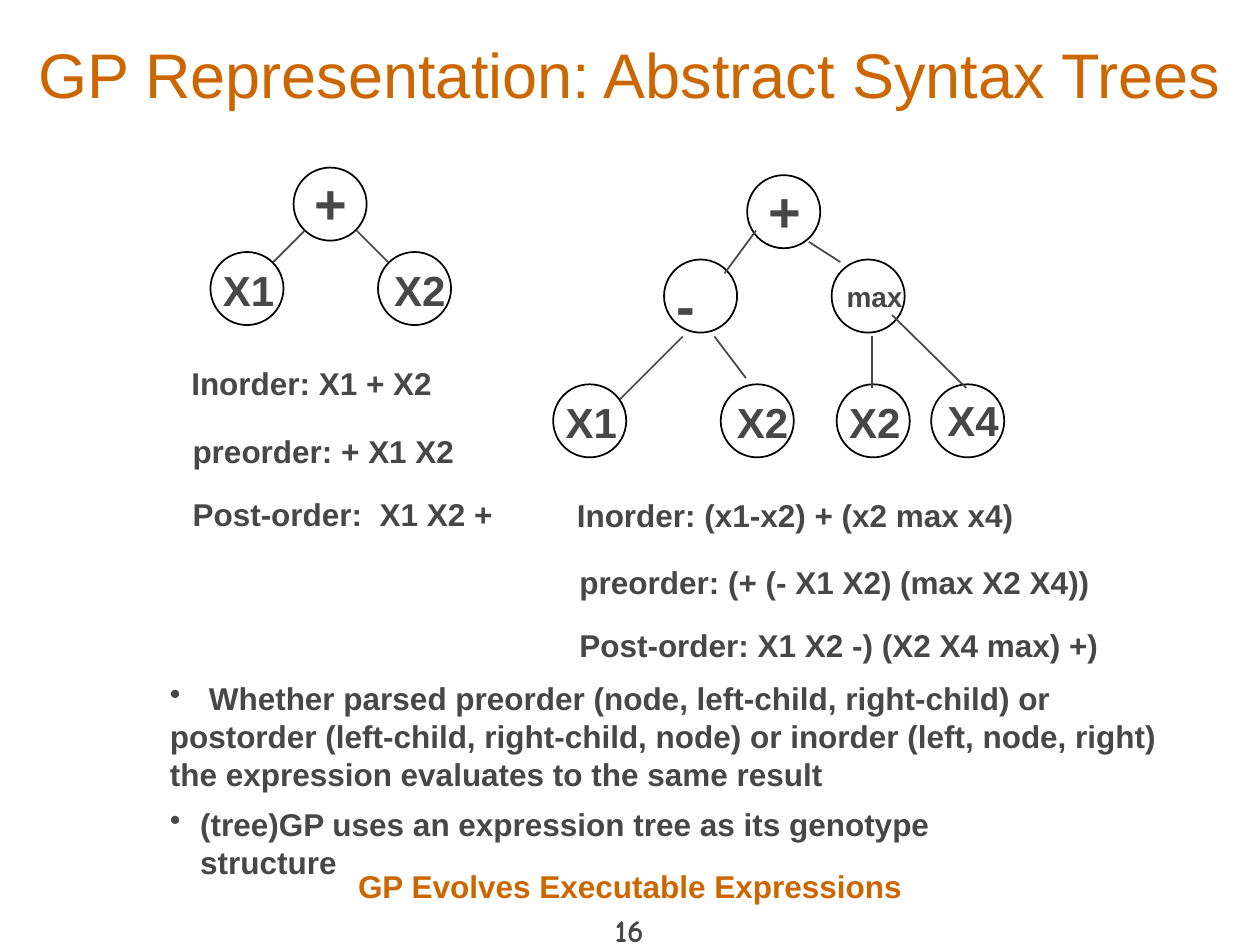
from lxml.etree import SubElement
from pptx import Presentation
from pptx.dml.color import RGBColor
from pptx.enum.shapes import MSO_CONNECTOR, MSO_SHAPE
from pptx.enum.text import MSO_ANCHOR, PP_ALIGN
from pptx.oxml.ns import qn
from pptx.util import Inches, Pt

GREY = "474747"
ORANGE = "CC6600"
DIAMETER = 0.58
BULLET_INDENT = 0.24


def color(value):
    return RGBColor.from_string(value)


def write(shape, lines, size=18, text_color=GREY, bold=True, name="Arial",
          align=PP_ALIGN.LEFT, wrap=False, bullet=False):
    frame = shape.text_frame
    frame.word_wrap = wrap
    frame.text = "\n".join(lines)
    for index, paragraph in enumerate(frame.paragraphs):
        properties = paragraph._p.get_or_add_pPr()
        bulleted = bullet and index == 0
        indent = Inches(BULLET_INDENT) if bulleted else 0
        properties.set("marL", str(indent))
        properties.set("indent", str(-indent))
        if bulleted:
            SubElement(properties, qn("a:buChar"), char="•")
        else:
            SubElement(properties, qn("a:buNone"))
        paragraph.alignment = align
        paragraph.space_before = Pt(0)
        font_format = {"size": Pt(size), "bold": bold, "name": name}
        for attribute, value in font_format.items():
            setattr(paragraph.font, attribute, value)
        paragraph.font.color.rgb = color(text_color)


presentation = Presentation()
presentation.slide_width = Inches(10)
presentation.slide_height = Inches(7.5)
slide = presentation.slides.add_slide(presentation.slide_layouts[1])

title, body = slide.placeholders
placeholders = [
    (title, (0.12, 0.25, 9.75, 0.67), "GP Representation: Abstract Syntax Trees", 36, False,
     MSO_ANCHOR.MIDDLE),
    (body, (2, 6.83, 6, 0.42), "GP Evolves Executable Expressions", 18, True, MSO_ANCHOR.TOP),
]
for shape, position, text, size, bold, anchor in placeholders:
    for attribute, value in zip(("left", "top", "width", "height"), position):
        setattr(shape, attribute, Inches(value))
    write(shape, [text], size, ORANGE, bold, align=PP_ALIGN.CENTER, wrap=True)
    shape.text_frame.vertical_anchor = anchor

traversals = [
    (1.42, 2.84, 2.13, "Inorder: X1 + X2"),
    (1.43, 3.38, 2.3, "preorder: + X1 X2"),
    (1.43, 3.88, 2.61, "Post-order:  X1 X2 +"),
    (4.48, 3.89, 3.7, "Inorder: (x1-x2) + (x2 max x4)"),
    (4.5, 4.42, 4.29, "preorder: (+ (- X1 X2) (max X2 X4))"),
    (4.5, 4.92, 4.36, "Post-order: X1 X2 -) (X2 X4 max) +)"),
]
for left, top, width, text in traversals:
    box = slide.shapes.add_textbox(Inches(left), Inches(top), Inches(width), Inches(0.4))
    write(box, [text])

label_sizes = {
    "+": (32, 0.46, 0.63),
    "-": (32, 0.35, 0.63),
    "max": (16, 0.65, 0.37),
    "X1": (24, 0.61, 0.51),
    "X2": (24, 0.61, 0.51),
    "X4": (24, 0.61, 0.51),
}
small_tree = {
    "nodes": [
        ("+", (2.33, 1.33), (2.4, 1.29)),
        ("X1", (1.67, 2), (1.67, 2.05)),
        ("X2", (3, 2), (3.03, 2.05)),
    ],
    "edges": [(2.42, 1.83, 2.17, 2.08), (2.83, 1.83, 3.08, 2.08)],
}
large_tree = {
    "nodes": [
        ("+", (5.93, 1.39), (6, 1.35)),
        ("-", (5.27, 2.06), (5.27, 2.1)),
        ("max", (6.6, 2.06), (6.62, 2.17)),
        ("X1", (4.39, 3.05), (4.39, 3.1)),
        ("X2", (5.72, 3.05), (5.75, 3.1)),
        ("X2", (6.64, 3.05), (6.64, 3.1)),
        ("X4", (7.39, 3.05), (7.42, 3.08)),
    ],
    "edges": [
        (6, 1.83, 5.75, 2.17),
        (6.42, 1.92, 6.67, 2.08),
        (5.42, 2.67, 4.92, 3.17),
        (5.67, 2.67, 5.92, 3),
        (6.92, 2.67, 6.92, 3.08),
        (7.08, 2.5, 7.67, 3.08),
    ],
}
for tree in (small_tree, large_tree):
    group = slide.shapes.add_group_shape()
    for label, (left, top), (label_left, label_top) in tree["nodes"]:
        size, width, height = label_sizes[label]
        box = group.shapes.add_textbox(Inches(label_left), Inches(label_top),
                                       Inches(width), Inches(height))
        write(box, [label], size)
        circle = group.shapes.add_shape(MSO_SHAPE.OVAL, Inches(left), Inches(top),
                                        Inches(DIAMETER), Inches(DIAMETER))
        circle.shadow.inherit = False
        circle.fill.background()
        circle.line.color.rgb = color("000000")
        circle.line.width = Pt(1)
    for edge in tree["edges"]:
        connector = group.shapes.add_connector(MSO_CONNECTOR.STRAIGHT, *map(Inches, edge))
        connector.line.color.rgb = color(GREY)
        connector.line.width = Pt(1)
        SubElement(connector._element.spPr, qn("a:effectLst"))

remarks = [
    (5.34, 8.03, 1, False, [
        " Whether parsed preorder (node, left-child, right-child) or",
        "postorder (left-child, right-child, node) or inorder (left, node, right)",
        "the expression evaluates to the same result",
    ]),
    (6.34, 7.23, 0.4, True, ["(tree)GP uses an expression tree as its genotype structure"]),
]
for top, width, height, wrap, lines in remarks:
    box = slide.shapes.add_textbox(Inches(1.25), Inches(top), Inches(width), Inches(height))
    write(box, lines, wrap=wrap, bullet=True)

page_number = slide.shapes.add_textbox(Inches(3.83), Inches(7.18), Inches(2.33), Inches(0.4))
write(page_number, ["16"], name="Comic Neue", align=PP_ALIGN.CENTER, wrap=True)

presentation.save("out.pptx")
